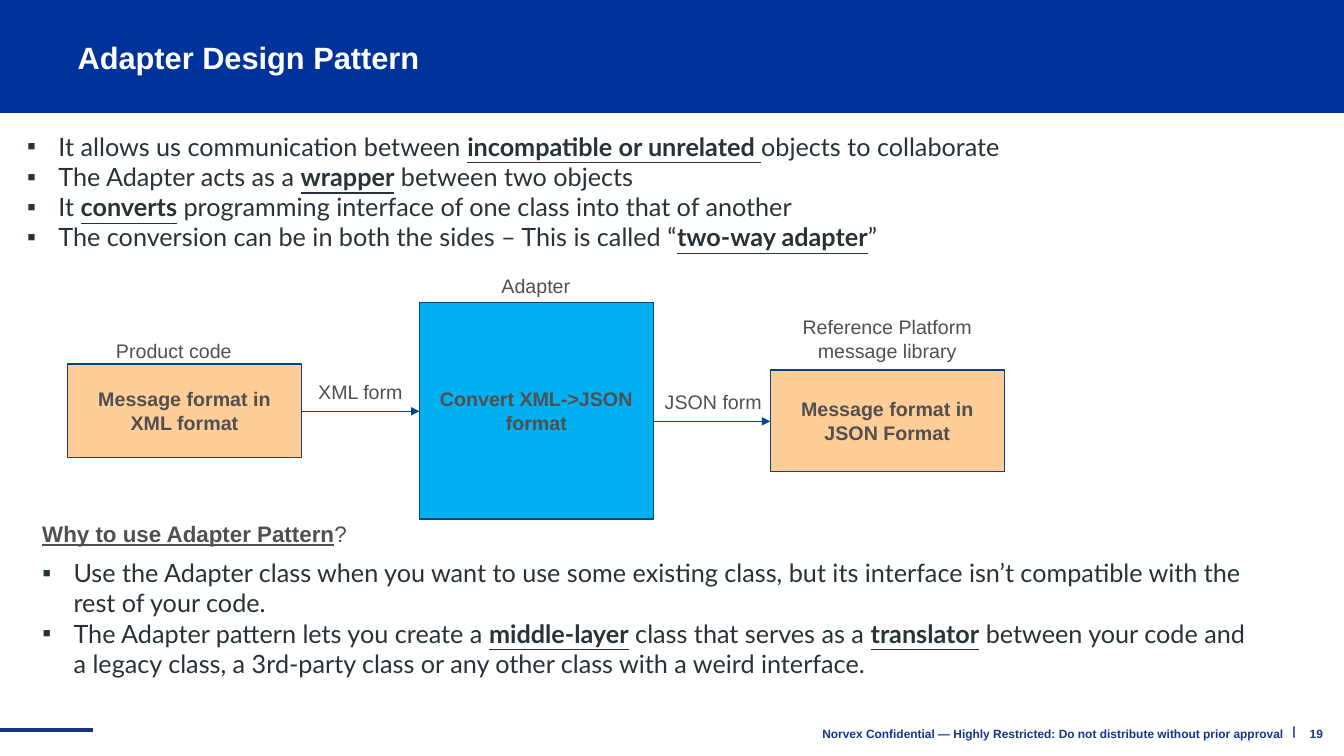
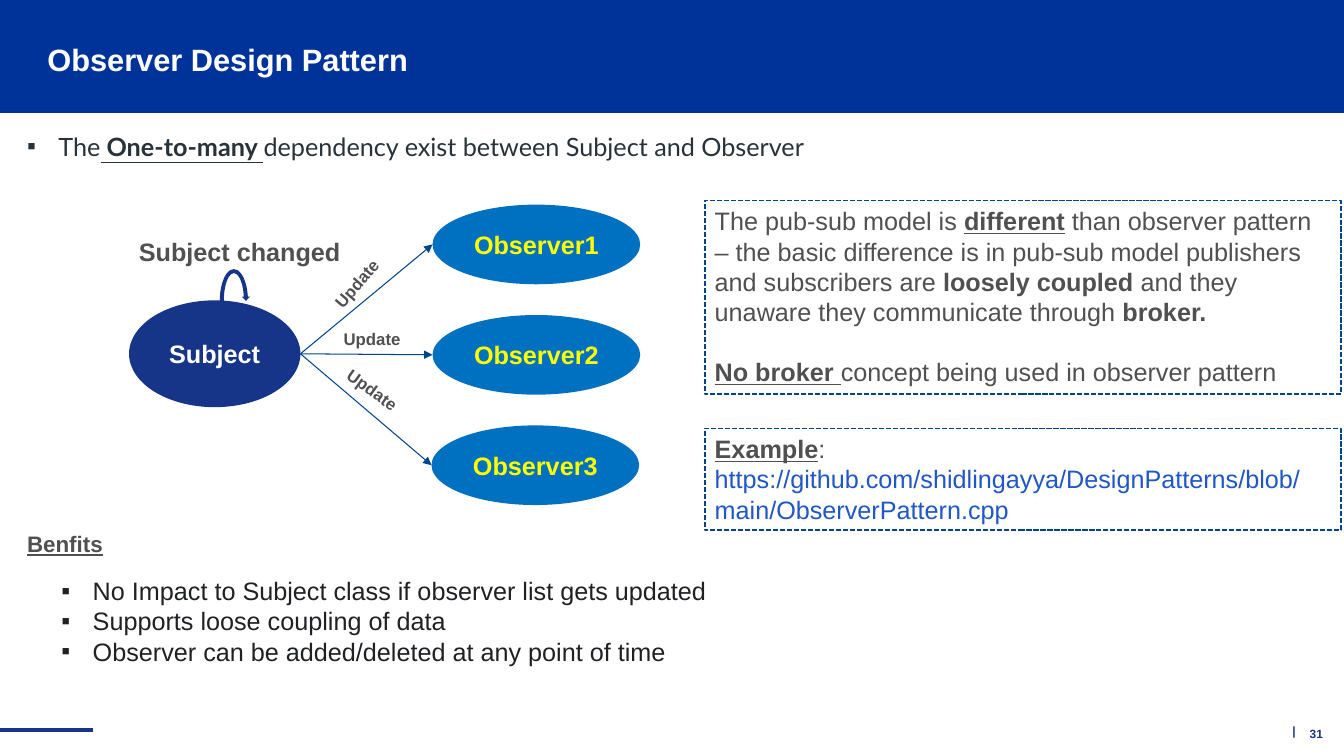
from lxml import etree
from pptx import Presentation
from pptx.dml.color import RGBColor
from pptx.enum.dml import MSO_LINE
from pptx.enum.shapes import MSO_CONNECTOR, MSO_SHAPE
from pptx.enum.text import MSO_ANCHOR, MSO_AUTO_SIZE, PP_ALIGN
from pptx.oxml.ns import qn
from pptx.util import Inches, Pt

RECT, ELLIPSE, LOOP = MSO_SHAPE.RECTANGLE, MSO_SHAPE.OVAL, MSO_SHAPE.CIRCULAR_ARROW
STRAIGHT = MSO_CONNECTOR.STRAIGHT
LEFT, CENTER, RIGHT = PP_ALIGN.LEFT, PP_ALIGN.CENTER, PP_ALIGN.RIGHT
TOP, MIDDLE = MSO_ANCHOR.TOP, MSO_ANCHOR.MIDDLE
NO_FIT = MSO_AUTO_SIZE.NONE
DASH = MSO_LINE.SQUARE_DOT

COLORS = {
    "band": "003399", "navy": "163488", "line": "00448E", "white": "FFFFFF",
    "text": "505050", "list": "273239", "benefit": "202124", "link": "2057C6",
    "peach": "FFCD97", "cyan": "00B0F0", "observer": "0070C0", "yellow": "FFFF00",
}
TWO_CONTENT = 3


def rgb(name):
    return RGBColor.from_string(COLORS[name])


def add_run(p, part, size, color, bold, font):
    """A part is plain text, or (text, marks, colour) with marks b and u."""
    text, marks, own_color = (part, "", None) if isinstance(part, str) else part
    r = p.add_run()
    r.text = text
    r.font.name = font
    r.font.size = Pt(size)
    r.font.bold = bold or "b" in marks
    r.font.underline = "u" in marks
    r.font.color.rgb = rgb(own_color or color)


def strong(text):
    return (text, "bu", None)


def set_bullet(p):
    pPr = p._p.get_or_add_pPr()
    pPr.set("marL", str(Inches(0.31)))
    pPr.set("indent", str(-Inches(0.31)))
    etree.SubElement(pPr, qn("a:buFont")).set("typeface", "Arial")
    etree.SubElement(pPr, qn("a:buChar")).set("char", "▪")


def write(sp, paragraphs, size, color="text", bold=False, font="Arial",
          align=LEFT, anchor=TOP, bullets=False, gap=0, line_spacing=1.0):
    """Fill a shape; each paragraph is a list of parts, gap is the points between."""
    tf = sp.text_frame
    tf.word_wrap = True
    tf.auto_size = NO_FIT
    tf.vertical_anchor = anchor
    for i, parts in enumerate(paragraphs):
        p = tf.add_paragraph() if i else tf.paragraphs[0]
        if bullets:
            set_bullet(p)
        p.alignment = align
        p.space_before = Pt(gap if i else 0)
        p.line_spacing = line_spacing
        for part in parts:
            add_run(p, part, size, color, bold, font)


def place(sp, box):
    sp.left, sp.top, sp.width, sp.height = map(Inches, box)


def add_label(s, box, parts, size, **style):
    sp = s.shapes.add_textbox(*map(Inches, box))
    write(sp, [parts], size, **style)
    return sp


def add_box(s, kind, box, fill=None, line=None, weight=1):
    sp = s.shapes.add_shape(kind, *map(Inches, box))
    sp.shadow.inherit = False
    if fill:
        sp.fill.solid()
        sp.fill.fore_color.rgb = rgb(fill)
    else:
        sp.fill.background()
    if line:
        sp.line.color.rgb = rgb(line)
        sp.line.width = Pt(weight)
    else:
        sp.line.fill.background()
    return sp


def add_node(s, kind, box, text, size, fill, color="text", line=None):
    sp = add_box(s, kind, box, fill, line)
    write(sp, [[text]], size, color, bold=True, align=CENTER, anchor=MIDDLE)


def add_note(s, box, paragraphs, gap=0):
    sp = add_box(s, RECT, box, line="line", weight=1.25)
    sp.line.dash_style = DASH
    write(sp, paragraphs, 18, gap=gap)


def add_line(s, start, end, color, weight):
    c = s.shapes.add_connector(STRAIGHT, *map(Inches, (*start, *end)))
    c.line.color.rgb = rgb(color)
    c.line.width = Pt(weight)
    etree.SubElement(c.element.spPr, qn("a:effectLst"))
    return c


def add_arrow(s, start, end):
    c = add_line(s, start, end, "line", 0.75)
    etree.SubElement(c.line._get_or_add_ln(), qn("a:tailEnd")).set("type", "triangle")


def add_small_print(s, box, text, align=RIGHT):
    add_label(s, box, [text], 8.5, color="navy", bold=True, align=align, anchor=MIDDLE)


def move_to_layout(s):
    """Hand everything but the placeholders of a slide to its layout."""
    for i, sp in enumerate([sp for sp in s.shapes if not sp.is_placeholder]):
        sp.element.xpath(".//p:cNvPr")[0].set("id", str(100 + i))
        s.slide_layout.shapes.element.append(sp.element)


def add_frame(s):
    add_box(s, RECT, (0, 0, 13.33, 1.12), "band")
    add_line(s, (0, 7.24), (0.92, 7.24), "navy", 3)
    add_small_print(s, (12.71, 7.05, 0.25, 0.4), "|", CENTER)
    move_to_layout(s)


def start_slide(s, title, box, number):
    place(s.shapes.title, box)
    write(s.shapes.title, [[title]], 22, "white", bold=True, anchor=MIDDLE,
          line_spacing=0.9)
    add_small_print(s, (12.59, 7.08, 0.63, 0.4), number)


def fill_list(s, idx, box, items, color="list", font="Lato"):
    body = s.placeholders[idx]
    place(body, box)
    write(body, items, 18, color, font=font, bullets=True)


def build_adapter(s):
    start_slide(s, "Adapter Design Pattern", (0.67, 0.28, 3.8, 0.62), "19")
    add_small_print(s, (6.24, 7.08, 6.59, 0.39),
                    "Norvex Confidential — Highly Restricted: "
                    "Do not distribute without prior approval")
    fill_list(s, 1, (0.17, 1.25, 12.14, 1.31), [
        ["It allows us communication between ", strong("incompatible or unrelated "),
         "objects to collaborate"],
        ["The Adapter acts as a ", strong("wrapper"), " between two objects"],
        ["It ", strong("converts"),
         " programming interface of one class into that of another"],
        ["The conversion can be in both the sides – This is called “",
         strong("two-way adapter"), "”"],
    ])

    width, product_x, adapter_x, library_x = 2.32, 0.67, 4.16, 7.64
    for x, y, height, text, fill in (
            (product_x, 3.61, 0.93, "Message format in XML format", "peach"),
            (adapter_x, 3, 2.15, "Convert XML->JSON format", "cyan"),
            (library_x, 3.67, 1.01, "Message format in JSON Format", "peach")):
        add_node(s, RECT, (x, y, width, height), text, 14, fill, line="line")
    for x, y, end in ((product_x, 4.08, adapter_x), (adapter_x, 4.18, library_x)):
        add_arrow(s, (x + width, y), (end, y))
    for box, text in (
            ((0.99, 3.31, 1.47, 0.34), "Product code"),
            ((4.58, 2.67, 1.47, 0.34), "Adapter"),
            ((7.85, 3.08, 1.9, 0.57), "Reference Platform message library"),
            ((2.84, 3.72, 1.47, 0.34), "XML form"),
            ((6.34, 3.82, 1.47, 0.34), "JSON form")):
        add_label(s, box, [text], 14, align=CENTER)

    add_label(s, (0.32, 5.11, 3.39, 0.37),
              [strong("Why to use Adapter Pattern"), "?"], 16)
    fill_list(s, 2, (0.32, 5.48, 12.14, 1.31), [
        ["Use the Adapter class when you want to use some existing class, "
         "but its interface isn’t compatible with the rest of your code."],
        ["The Adapter pattern lets you create a ", strong("middle-layer"),
         " class that serves as a ", strong("translator"),
         " between your code and a legacy class, a 3rd-party class "
         "or any other class with a weird interface."],
    ])


def build_observer(s):
    start_slide(s, "Observer Design Pattern", (0.37, 0.3, 4.18, 0.62), "31")
    fill_list(s, 1, (0.17, 1.25, 12.8, 0.4), [
        ["The", strong(" One-to-many "),
         "dependency exist between Subject and Observer"]])

    add_node(s, ELLIPSE, (1.28, 2.98, 1.7, 1.06), "Subject", 18, "navy", "white")
    width, height = 2.06, 0.79
    for i, x in enumerate((4.29, 4.29, 4.28)):
        y = 2.03 + 1.095 * i
        add_node(s, ELLIPSE, (x, y, width, height), f"Observer{i + 1}", 18,
                 "observer", "yellow")
        add_arrow(s, (2.98, 3.51), (x, y + height / 2))
    add_box(s, LOOP, (2.16, 2.65, 0.32, 0.67), "navy")
    add_label(s, (1.28, 2.3, 2.3, 0.4), ["Subject changed"], 18, bold=True)
    for x, y, angle in ((3.15, 2.65, 311), (3.31, 3.21, 0), (3.31, 3.73, 35.5)):
        update = add_label(s, (x, y, 0.8, 0.3), ["Update"], 12, bold=True)
        update.rotation = angle

    add_note(s, (6.99, 1.99, 6.31, 1.92), [
        ["The pub-sub model is ", strong("different"),
         " than observer pattern – the basic difference is in pub-sub model "
         "publishers and subscribers are ", ("loosely coupled ", "b", None),
         "and they unaware they communicate through ", ("broker.", "b", None)],
        [strong("No broker "), "concept being used in observer pattern"],
    ], gap=21.5)
    add_note(s, (6.99, 4.25, 6.31, 1.01), [
        [strong("Example"), ":"],
        [("https://github.com/shidlingayya/DesignPatterns/blob/main/ObserverPattern.cpp",
          "", "link")],
    ])

    add_label(s, (0.17, 5.21, 1, 0.37), [strong("Benfits")], 16)
    fill_list(s, 2, (0.51, 5.66, 9.58, 1.01), [
        ["No Impact to Subject class if observer list gets updated"],
        ["Supports loose coupling of data"],
        ["Observer can be added/deleted at any point of time"],
    ], "benefit", "Arial")


def main():
    prs = Presentation()
    prs.slide_width, prs.slide_height = Inches(13.33), Inches(7.5)
    layout = prs.slide_layouts[TWO_CONTENT]
    adapter, observer = (prs.slides.add_slide(layout) for _ in range(2))
    add_frame(adapter)
    build_adapter(adapter)
    build_observer(observer)
    prs.save("out.pptx")


if __name__ == "__main__":
    main()
